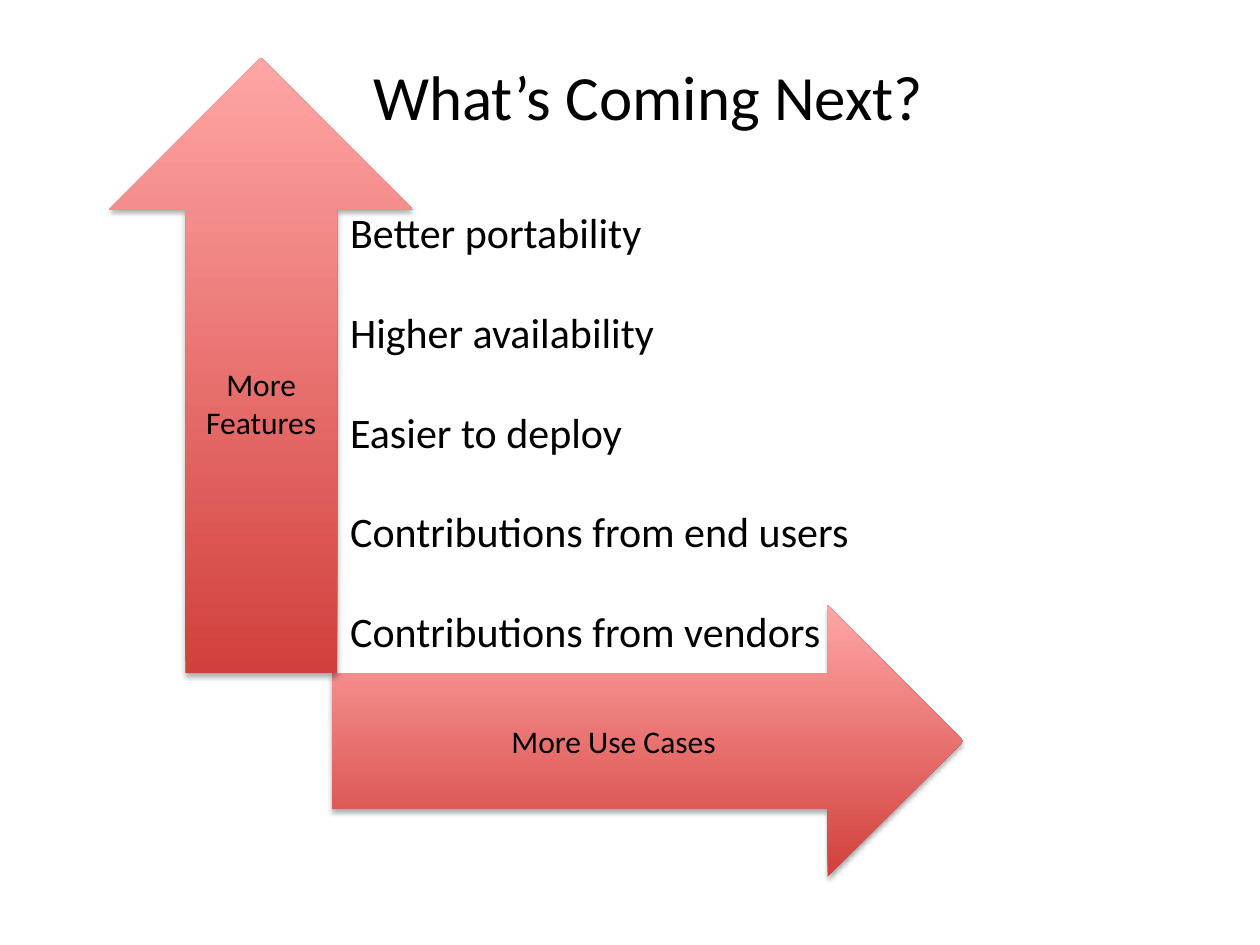
from dataclasses import dataclass

from lxml import etree
from pptx import Presentation
from pptx.dml.color import RGBColor
from pptx.enum.shapes import MSO_SHAPE
from pptx.enum.text import MSO_ANCHOR, MSO_AUTO_SIZE, PP_ALIGN
from pptx.oxml.ns import qn
from pptx.util import Pt

UP_ARROW = MSO_SHAPE.UP_ARROW
RIGHT_ARROW = MSO_SHAPE.RIGHT_ARROW
LEFT, CENTER = PP_ALIGN.LEFT, PP_ALIGN.CENTER
TOP, MIDDLE = MSO_ANCHOR.TOP, MSO_ANCHOR.MIDDLE
FIXED_SIZE = MSO_AUTO_SIZE.NONE
TITLE_ONLY = 5


@dataclass(frozen=True)
class Theme:
    font: str = "Calibri"
    text: RGBColor = RGBColor(0x00, 0x00, 0x00)
    arrow_dark: RGBColor = RGBColor(0xD1, 0x40, 0x3C)
    arrow_light: RGBColor = RGBColor(0xFF, 0xA6, 0xA5)
    shadow: str = "000000"
    title_size: int = 36
    list_size: int = 24
    label_size: int = 18
    list_gap: float = 28.2


THEME = Theme()
IMPROVEMENTS = [
    "Better portability",
    "Higher availability",
    "Easier to deploy",
    "Contributions from end users",
    "Contributions from vendors",
]


def format_paragraph(paragraph, size, alignment=LEFT):
    paragraph.alignment = alignment
    for run in paragraph.runs:
        run.font.name = THEME.font
        run.font.size = Pt(size)
        run.font.color.rgb = THEME.text


def add_soft_shadow(shape):
    shape.shadow.inherit = False
    effects = shape._element.spPr.find(qn("a:effectLst"))
    shadow = etree.SubElement(
        effects, qn("a:outerShdw"), blurRad=str(Pt(3.1)), dist=str(Pt(1.8)),
        dir="5400000", rotWithShape="0")
    color = etree.SubElement(shadow, qn("a:srgbClr"), val=THEME.shadow)
    etree.SubElement(color, qn("a:alpha"), val="35000")


def add_arrow(slide, kind, label, left, top, width, height):
    arrow = slide.shapes.add_shape(kind, Pt(left), Pt(top), Pt(width), Pt(height))
    arrow.fill.gradient()
    arrow.fill.gradient_angle = 90
    stops = arrow.fill.gradient_stops
    for stop, color in zip(stops, (THEME.arrow_dark, THEME.arrow_light)):
        stop.color.rgb = color
    arrow.line.fill.background()
    add_soft_shadow(arrow)
    text_frame = arrow.text_frame
    text_frame.text = label
    text_frame.vertical_anchor = MIDDLE
    format_paragraph(text_frame.paragraphs[0], THEME.label_size, CENTER)


def add_list(slide, items, left, top, width, height):
    box = slide.shapes.add_textbox(Pt(left), Pt(top), Pt(width), Pt(height))
    text_frame = box.text_frame
    text_frame.word_wrap = True
    text_frame.text = "\n".join(items)
    for index, paragraph in enumerate(text_frame.paragraphs):
        format_paragraph(paragraph, THEME.list_size)
        if index:
            paragraph.space_before = Pt(THEME.list_gap)


def set_title(slide, text, left, top, width, height):
    title = slide.shapes.title
    title.left, title.top = Pt(left), Pt(top)
    title.width, title.height = Pt(width), Pt(height)
    text_frame = title.text_frame
    text_frame.text = text
    text_frame.word_wrap = False
    text_frame.auto_size = FIXED_SIZE
    text_frame.vertical_anchor = TOP
    format_paragraph(text_frame.paragraphs[0], THEME.title_size)


def main():
    presentation = Presentation()
    presentation.slide_width, presentation.slide_height = Pt(720), Pt(540)
    slide = presentation.slides.add_slide(presentation.slide_layouts[TITLE_ONLY])

    set_title(slide, "What’s Coming Next?", 206, 29, 334, 51)
    add_arrow(slide, RIGHT_ARROW, "More Use Cases", 189.5, 346, 361, 155)
    add_arrow(slide, UP_ARROW, "More Features", 62.5, 33, 173.5, 351.5)
    add_list(slide, IMPROVEMENTS, 193, 114.5, 355, 298)

    presentation.save("out.pptx")


if __name__ == "__main__":
    main()
